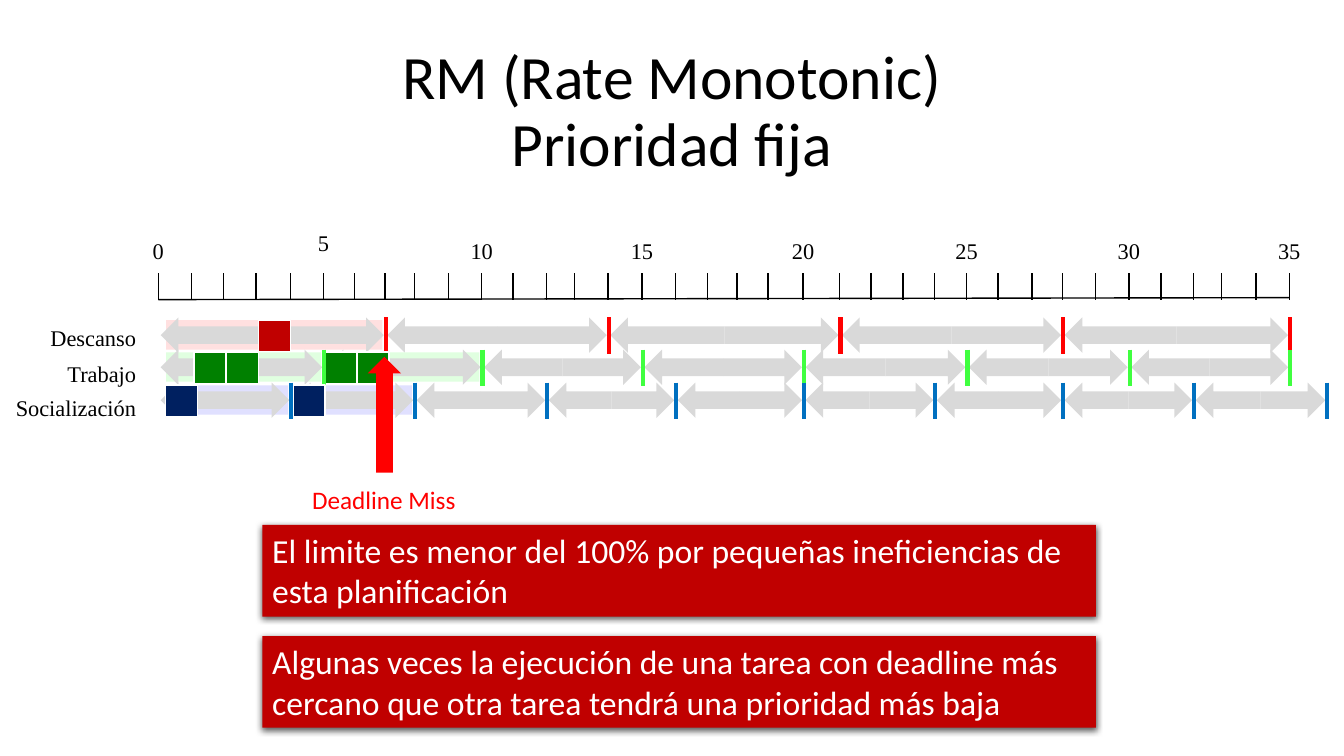
from lxml import etree
from pptx import Presentation
from pptx import util as u
from pptx.dml import color
from pptx.enum import shapes, text
from pptx.oxml import ns

COLORS = {
    "black": "000000", "white": "FFFFFF", "period": "D9D9D9", "alert": "FF0000",
    "note": "C00000", "rest": "C00000", "rest_band": "FFE0E0", "rest_mark": "FF0000",
    "work": "008000", "work_band": "E0FFE0", "work_mark": "40FF40",
    "social": "002060", "social_band": "E0E0FF", "social_mark": "0070C0",
}
SERIF, SANS = "Times New Roman", "Calibri"
LEFT, CENTER, RIGHT = text.PP_ALIGN.LEFT, text.PP_ALIGN.CENTER, text.PP_ALIGN.RIGHT
TICKS = [
    3.99, 4.83, 5.64, 6.45, 7.32, 8.15, 8.94, 9.70, 10.44, 11.30, 12.14, 12.93,
    13.77, 14.48, 15.32, 16.18, 17.02, 17.83, 18.57, 19.35, 20.24, 21.16, 21.95,
    22.76, 23.55, 24.36, 25.15, 26.01, 26.77, 27.61, 28.45, 29.26, 30.07, 30.78,
    31.65, 32.49, 33.43,
]
AXIS_END = 35
TASKS = [
    {"name": "Descanso", "key": "rest", "period": 7, "banded": 1, "runs": [3],
     "top": 8.0, "label_top": 8.03},
    {"name": "Trabajo", "key": "work", "period": 5, "banded": 2, "runs": [1, 2, 5, 6],
     "top": 8.81, "label_top": 8.94},
    {"name": "Socialización", "key": "social", "period": 4, "banded": 2, "runs": [0, 4],
     "top": 9.64, "label_top": 9.8},
]
NOTES = [
    (13.23, "El limite es menor del 100% por pequeñas ineficiencias de esta planificación"),
    (16.03, "Algunas veces la ejecución de una tarea con deadline más cercano que otra "
            "tarea tendrá una prioridad más baja"),
]


def rgb(name):
    """Return the named colour."""
    return color.RGBColor.from_string(COLORS[name])


def add_block(slide, kind, left, top, width, height, fill, outline=None):
    """Add a filled preset shape without shadow."""
    block = slide.shapes.add_shape(kind, u.Cm(left), u.Cm(top), u.Cm(width), u.Cm(height))
    block.shadow.inherit = False
    block.fill.solid()
    block.fill.fore_color.rgb = rgb(fill)
    if outline:
        block.line.color.rgb = rgb(outline)
        block.line.width = u.Pt(1)
    else:
        block.line.fill.background()
    return block


def add_stroke(slide, start, end, stroke, weight):
    """Add a straight line between two points."""
    line = slide.shapes.add_connector(
        shapes.MSO_CONNECTOR.STRAIGHT, *(u.Cm(value) for value in (*start, *end)))
    line.line.color.rgb = rgb(stroke)
    line.line.width = u.Pt(weight)
    etree.SubElement(line._element.spPr, ns.qn("a:effectLst"))


def write(frame, lines, size, font, ink, align):
    """Write lines as runs of one paragraph."""
    paragraph = frame.paragraphs[0]
    paragraph.alignment = align
    for index, line in enumerate(lines):
        if index:
            paragraph.add_line_break()
        run = paragraph.add_run()
        run.text = line
        run.font.size = u.Pt(size)
        run.font.name = font
        run.font.color.rgb = rgb(ink)
    return paragraph


def add_label(slide, left, top, width, height, lines, size, font, ink="black", align=CENTER):
    """Add a text box and return its paragraph."""
    label = slide.shapes.add_textbox(u.Cm(left), u.Cm(top), u.Cm(width), u.Cm(height))
    label.text_frame.word_wrap = True
    label.text_frame.vertical_anchor = text.MSO_ANCHOR.MIDDLE
    return write(label.text_frame, lines, size, font, ink, align)


def add_period(slide, start, end, top):
    """Add a double arrow made of two halves."""
    middle = (start + end) / 2
    for kind, left in ((shapes.MSO_SHAPE.RIGHT_ARROW, middle),
                       (shapes.MSO_SHAPE.LEFT_ARROW, start)):
        add_block(slide, kind, left, top, middle - start, 0.89, "period")


def add_task(slide, task):
    """Add the bands, periods, executions and deadlines of a task."""
    key, period, top = task["key"], task["period"], task["top"]
    deadlines = range(period, len(TICKS), period)
    box = shapes.MSO_SHAPE.RECTANGLE
    for deadline in deadlines[:task["banded"]]:
        start = TICKS[deadline - period] + (0.06 if deadline > period else 0.2)
        add_block(slide, box, start, top + 0.07, TICKS[deadline] - 0.06 - start, 0.74,
                  f"{key}_band")
    for deadline in deadlines:
        add_period(slide, TICKS[deadline - period] + 0.06, TICKS[deadline] - 0.03, top)
    for hour in task["runs"]:
        left = TICKS[hour] + (0.06 if hour else 0.18)
        add_block(slide, box, left, top + 0.06, 0.81, 0.81, key, "white")
    for deadline in deadlines:
        mark = TICKS[deadline] + 0.02
        add_stroke(slide, (mark, top), (mark, top + 0.92), f"{key}_mark", 3)
    add_label(slide, 0.05, task["label_top"], 3.63, 0.94, [task["name"]], 16, SERIF,
              align=RIGHT)


def add_axis(slide):
    """Add the time axis with a number at every fifth tick."""
    add_stroke(slide, (TICKS[0], 7.55), (TICKS[AXIS_END], 7.5), "black", 1)
    for hour, tick in enumerate(TICKS[:AXIS_END + 1]):
        add_stroke(slide, (tick, 7.55), (tick, 6.87), "black", 1)
        if hour % 5 == 0:
            top = 5.64 if hour == 5 else 5.84
            add_label(slide, tick - 0.6, top, 1.2, 0.94, [str(hour)], 16, SERIF)


def add_note(slide, top, sentence):
    """Add a red note with a soft shadow."""
    note = add_block(slide, shapes.MSO_SHAPE.RECTANGLE, 6.61, top, 21.01, 2.31, "note")
    effects = note._element.spPr.find(ns.qn("a:effectLst"))
    shadow = etree.SubElement(effects, ns.qn("a:outerShdw"), blurRad="57150",
                              dist="19050", dir="5400000", algn="ctr", rotWithShape="0")
    shade = etree.SubElement(shadow, ns.qn("a:srgbClr"), val=COLORS["black"])
    etree.SubElement(shade, ns.qn("a:alpha"), val="63000")
    note.text_frame.word_wrap = True
    note.text_frame.vertical_anchor = text.MSO_ANCHOR.TOP
    write(note.text_frame, [sentence], 24, SANS, "white", LEFT)


def main():
    """Build the scheduling slide."""
    deck = Presentation()
    deck.slide_width, deck.slide_height = u.Cm(33.87), u.Cm(19.05)
    slide = deck.slides.add_slide(deck.slide_layouts[6])
    title = add_label(slide, 2.33, 1.01, 29.21, 3.68,
                      ["RM (Rate Monotonic)", "Prioridad fija"], 44, SANS)
    title.line_spacing = 0.9
    for task in TASKS:
        add_task(slide, task)
    add_block(slide, shapes.MSO_SHAPE.UP_ARROW, 9.27, 8.99, 0.84, 2.92, "alert")
    add_label(slide, 7.59, 12.07, 4.17, 1.02, ["Deadline Miss"], 18, SANS, "alert")
    add_axis(slide)
    for top, sentence in NOTES:
        add_note(slide, top, sentence)
    deck.save("out.pptx")


if __name__ == "__main__":
    main()
